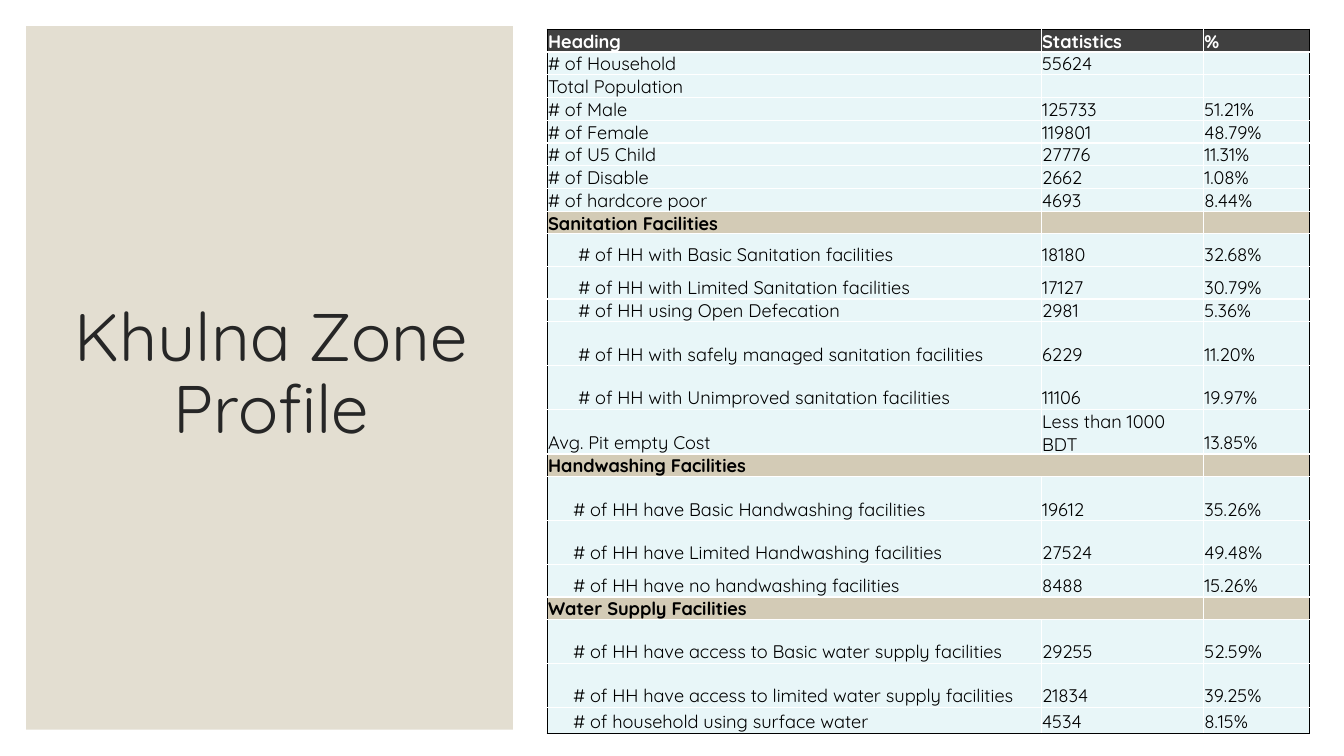
from pptx import Presentation
from pptx.dml.color import RGBColor
from pptx.enum import shapes, text
from pptx.oxml.xmlchemy import OxmlElement
from pptx.util import Pt

FONT = "Quicksand"
WHITE = RGBColor(0xFF, 0xFF, 0xFF)
BLACK = RGBColor(0, 0, 0)
SAND = RGBColor(0xE3, 0xDE, 0xD1)
TITLE_INK = RGBColor(0x26, 0x26, 0x26)
CHARCOAL = RGBColor(0x40, 0x40, 0x40)
TAN = RGBColor(0xD3, 0xCB, 0xB6)
ICE = RGBColor(0xE8, 0xF6, 0xF8)

TITLE = "Khulna Zone Profile"
SHORT, MEDIUM, TALL = 15.84, 23.3, 31.3
SANITATION, OTHER = 21.6, 18
COLUMN_WIDTHS = [352.8, 115.92, 75.6]

STYLES = {
    "heading": (CHARCOAL, WHITE, True),
    "section": (TAN, BLACK, True),
    "data": (ICE, BLACK, False),
}

# kind, row height, indent, cell texts
ROWS = [
    ("heading", SHORT, 0, ("Heading", "Statistics", "%")),
    ("data", SHORT, 0, ("# of Household", "55624", "")),
    ("data", SHORT, 0, ("Total Population", "", "")),
    ("data", SHORT, 0, ("# of Male", "125733", "51.21%")),
    ("data", SHORT, 0, ("# of Female", "119801", "48.79%")),
    ("data", SHORT, 0, ("# of U5 Child", "27776", "11.31%")),
    ("data", SHORT, 0, ("# of Disable", "2662", "1.08%")),
    ("data", SHORT, 0, ("# of hardcore poor", "4693", "8.44%")),
    ("section", SHORT, 0, ("Sanitation Facilities", "", "")),
    ("data", MEDIUM, SANITATION, ("# of HH with Basic Sanitation facilities", "18180", "32.68%")),
    ("data", MEDIUM, SANITATION, ("# of HH with Limited Sanitation facilities", "17127", "30.79%")),
    ("data", SHORT, SANITATION, ("# of HH using Open Defecation", "2981", "5.36%")),
    ("data", TALL, SANITATION, ("# of HH with safely managed sanitation facilities", "6229", "11.20%")),
    ("data", TALL, SANITATION, ("# of HH with Unimproved sanitation facilities", "11106", "19.97%")),
    ("data", TALL, 0, ("Avg. Pit empty Cost", "Less than 1000 BDT", "13.85%")),
    ("section", SHORT, 0, ("Handwashing Facilities", "", "")),
    ("data", TALL, OTHER, ("# of HH have Basic Handwashing facilities", "19612", "35.26%")),
    ("data", TALL, OTHER, ("# of HH have Limited Handwashing facilities", "27524", "49.48%")),
    ("data", MEDIUM, OTHER, ("# of HH have no handwashing facilities", "8488", "15.26%")),
    ("section", SHORT, 0, ("Water Supply Facilities", "", "")),
    ("data", TALL, OTHER, ("# of HH have access to Basic water supply facilities", "29255", "52.59%")),
    ("data", TALL, OTHER, ("# of HH have access to limited water supply facilities", "21834", "39.25%")),
    ("data", 18.72, OTHER, ("# of household using surface water", "4534", "8.15%")),
]
MERGED_SECTIONS = ("Handwashing Facilities", "Water Supply Facilities")


def set_borders(cell, outer_sides):
    properties = cell._tc.get_or_add_tcPr()
    for position, (side, outer) in enumerate(outer_sides.items()):
        line = OxmlElement(f"a:{side}")
        line.set("w", str(Pt(1)))
        fill = OxmlElement("a:solidFill")
        color = OxmlElement("a:srgbClr")
        color.set("val", str(BLACK if outer else WHITE))
        fill.append(color)
        line.append(fill)
        properties.insert(position, line)


def style_span(span, size, color, bold=False):
    span.font.name = FONT
    span.font.size = Pt(size)
    span.font.color.rgb = color
    span.font.bold = bold


def fill_cell(cell, words, kind, indent):
    background, ink, bold = STYLES[kind]
    cell.fill.solid()
    cell.fill.fore_color.rgb = background
    cell.vertical_anchor = text.MSO_ANCHOR.BOTTOM
    cell.margin_left = Pt(0.6 + indent)
    cell.margin_right = cell.margin_top = Pt(0.6)
    cell.margin_bottom = Pt(0)
    para = cell.text_frame.paragraphs[0]
    if words:
        para.text = words
        style_span(para.runs[0], 13, ink, bold)
    else:
        end = OxmlElement("a:endParaRPr")
        end.set("sz", "1300")
        latin = OxmlElement("a:latin")
        latin.set("typeface", FONT)
        end.append(latin)
        para._p.append(end)


def add_title(page):
    panel = page.shapes.add_shape(
        shapes.MSO_SHAPE.RECTANGLE, Pt(18.72), Pt(18.72), Pt(347.76), Pt(502.56))
    panel.shadow.inherit = False
    panel.fill.solid()
    panel.fill.fore_color.rgb = SAND
    panel.line.fill.background()

    box = page.shapes.add_textbox(Pt(45.36), Pt(43.92), Pt(296.64), Pt(449.28))
    box.text_frame.word_wrap = True
    box.text_frame.vertical_anchor = text.MSO_ANCHOR.MIDDLE
    para = box.text_frame.paragraphs[0]
    para.text = TITLE
    para.alignment = text.PP_ALIGN.CENTER
    para.line_spacing = 0.9
    style_span(para.runs[0], 48, TITLE_INK)


def add_statistics(page):
    last_row, last_column = len(ROWS) - 1, len(COLUMN_WIDTHS) - 1
    table = page.shapes.add_table(
        len(ROWS), len(COLUMN_WIDTHS), Pt(390.96), Pt(20.88),
        Pt(sum(COLUMN_WIDTHS)), Pt(sum(row[1] for row in ROWS))).table
    for column, width in zip(table.columns, COLUMN_WIDTHS):
        column.width = Pt(width)
    for r, (kind, height, indent, words) in enumerate(ROWS):
        table.rows[r].height = Pt(height)
        for c, value in enumerate(words):
            cell = table.cell(r, c)
            fill_cell(cell, value, kind, 0 if c else indent)
            set_borders(cell, {"lnL": c == 0, "lnR": c == last_column,
                               "lnT": r == 0, "lnB": r == last_row})
        if words[0] in MERGED_SECTIONS:
            table.cell(r, 0).merge(table.cell(r, 1))


def main():
    deck = Presentation()
    deck.slide_width, deck.slide_height = Pt(960), Pt(540)
    page = deck.slides.add_slide(deck.slide_layouts[6])
    add_title(page)
    add_statistics(page)
    deck.save("out.pptx")


if __name__ == "__main__":
    main()
